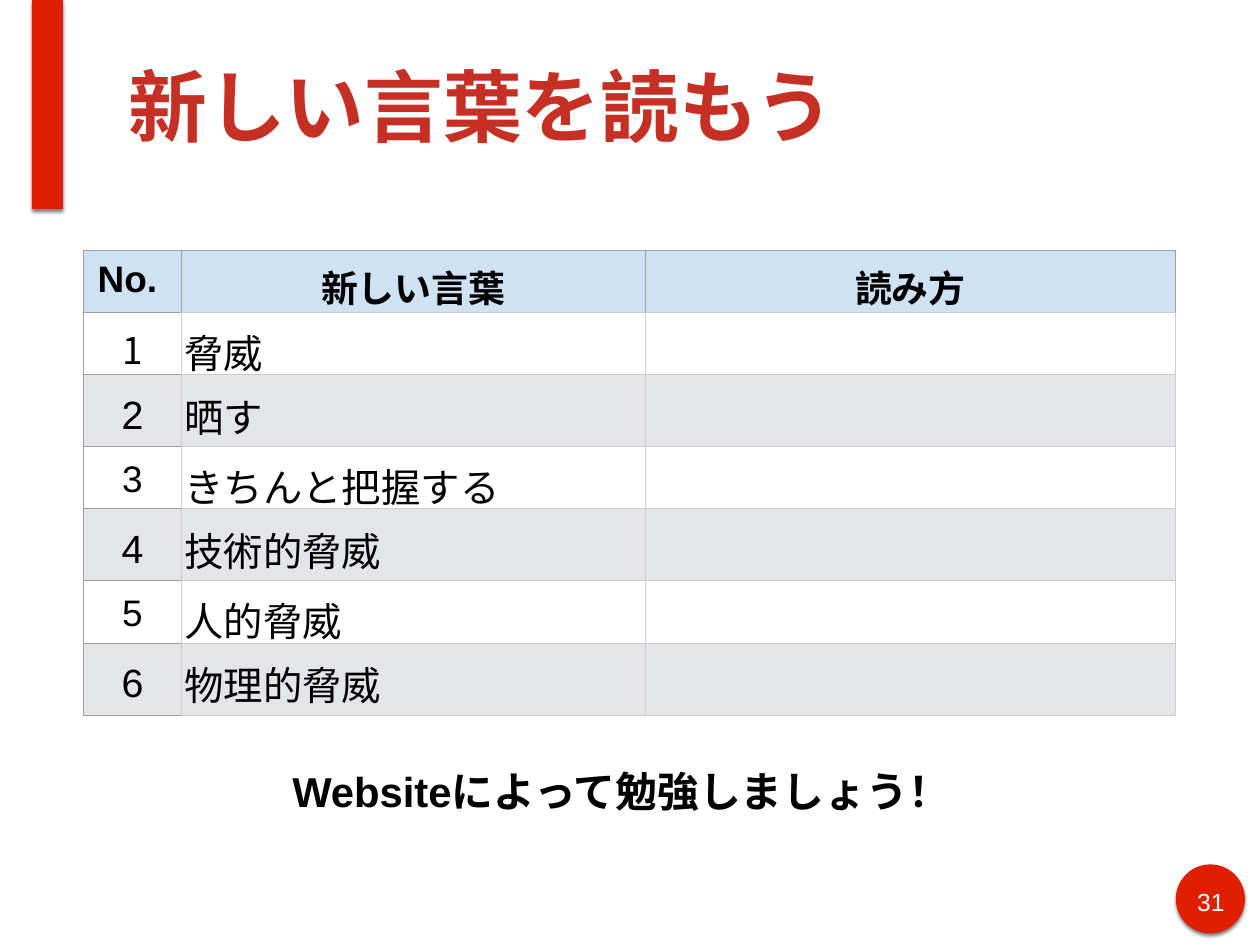
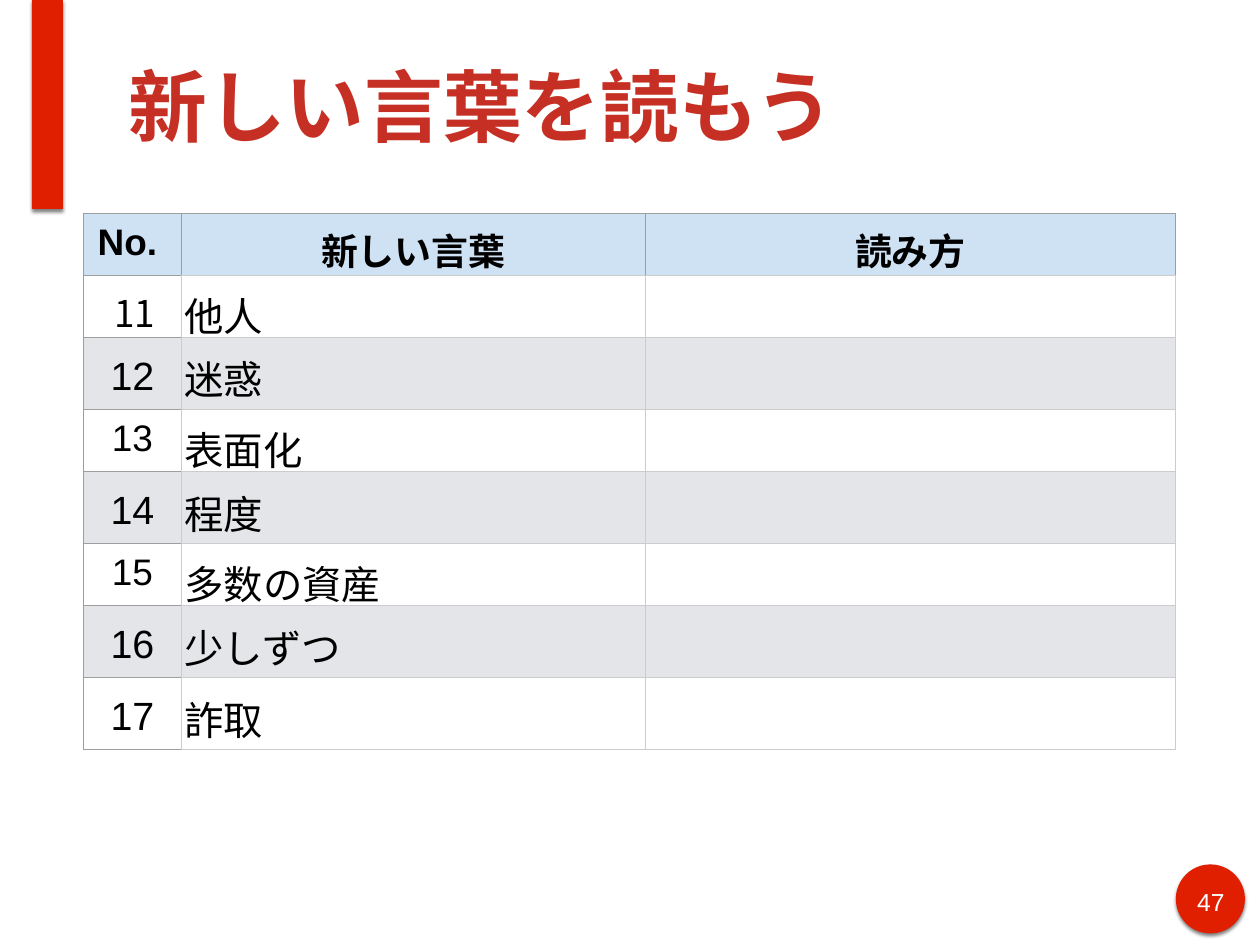
"""Two vocabulary slides with a red band, a page badge and a word table."""
from pptx import Presentation
from pptx import util as u
from pptx.dml.color import RGBColor
from pptx.enum import shapes, text
from pptx.oxml import parse_xml
from pptx.oxml import ns

COLORS = {"red": "DF1F00", "title": "C63024", "black": "000000", "white": "FFFFFF",
          "header": "CFE2F3", "stripe": "E3E5E8", "dark": "9E9E9E", "light": "CCCCCC"}
LATIN, JAPANESE = "Arial", "Noto Sans CJK JP"
TITLE = "新しい言葉を読もう"
HEADINGS = ("No. ", "新しい言葉", "読み方")
COLUMN_WIDTHS = (1.11, 5.23, 5.99)
ROW_HEIGHT = 0.69
TOP, MIDDLE, BOTTOM = text.MSO_ANCHOR.TOP, text.MSO_ANCHOR.MIDDLE, text.MSO_ANCHOR.BOTTOM
LEFT, CENTER = text.PP_ALIGN.LEFT, text.PP_ALIGN.CENTER

LESSONS = [
    {"page": "31", "first_number": 1, "table_top": 2.83,
     "words": ["脅威", "晒す", "きちんと把握する", "技術的脅威", "人的脅威", "物理的脅威"],
     "anchors": {"plain": BOTTOM, "spaced": BOTTOM}, "first_indent": 0,
     "reminder": "Websiteによって勉強しましょう！"},
    {"page": "47", "first_number": 11, "table_top": 2.41,
     "words": ["他人", "迷惑", "表面化", "程度", "多数の資産", "少しずつ", "詐取"],
     "anchors": {"plain": TOP, "spaced": MIDDLE}, "first_indent": 0.25,
     "reminder": None},
]


def write(frame, words, size, color="black", bold=False, align=LEFT,
          spacing=None, font=LATIN, indent=0):
    paragraph = frame.paragraphs[0]
    paragraph.alignment = align
    if spacing:
        paragraph.line_spacing = spacing
    if indent:
        properties = paragraph._p.get_or_add_pPr()
        properties.set("marL", str(u.Inches(indent)))
        properties.set("indent", "0")
    run = paragraph.add_run()
    run.text = words
    for key, value in {"size": u.Pt(size), "bold": bold, "name": font}.items():
        setattr(run.font, key, value)
    run.font.color.rgb = RGBColor.from_string(COLORS[color])
    run._r.get_or_add_rPr().find(ns.qn("a:latin")).addnext(
        parse_xml(f'<a:ea {ns.nsdecls("a")} typeface="{JAPANESE}"/>'))


def set_margins(holder, across, down):
    for side, inset in {"left": across, "right": across, "top": down, "bottom": down}.items():
        setattr(holder, f"margin_{side}", u.Inches(inset))


def add_label(slide, box, words, size, inset, anchor=TOP, **style):
    frame = slide.shapes.add_textbox(*map(u.Inches, box)).text_frame
    frame.word_wrap = True
    frame.vertical_anchor = anchor
    set_margins(frame, inset, inset)
    write(frame, words, size, **style)
    return frame


def add_red_shape(slide, kind, box):
    shape = slide.shapes.add_shape(kind, *map(u.Inches, box))
    shape.fill.solid()
    shape.fill.fore_color.rgb = RGBColor.from_string(COLORS["red"])
    shape.line.fill.background()
    shape.shadow.inherit = False
    shape._element.spPr.find(ns.qn("a:effectLst")).append(parse_xml(
        f'<a:outerShdw {ns.nsdecls("a")} blurRad="{u.Pt(3)}" dist="{u.Pt(2)}" dir="5400000" '
        f'rotWithShape="0"><a:srgbClr val="{COLORS["black"]}"><a:alpha val="49000"/>'
        '</a:srgbClr></a:outerShdw>'))


def add_frame(slide, page):
    add_red_shape(slide, shapes.MSO_SHAPE.OVAL, (13.27, 9.76, 0.78, 0.78))
    add_red_shape(slide, shapes.MSO_SHAPE.RECTANGLE, (0.36, 0, 0.35, 2.36))
    add_label(slide, (13.42, 9.95, 0.49, 0.39), page, 20, 0.06, color="white", align=CENTER)
    add_label(slide, (1.39, 0.12, 12.14, 2.12), TITLE, 64, 0.06, MIDDLE,
              color="title", bold=True)


def style_cell(cell, fill, sides):
    properties = cell._tc.get_or_add_tcPr()
    for side, color in zip("LRTB", sides):
        properties.append(parse_xml(
            f'<a:ln{side} {ns.nsdecls("a")} w="{u.Pt(0.75)}"><a:solidFill>'
            f'<a:srgbClr val="{COLORS[color]}"/></a:solidFill></a:ln{side}>'))
    cell.fill.solid()
    cell.fill.fore_color.rgb = RGBColor.from_string(COLORS[fill])


def add_word_table(slide, lesson):
    words = lesson["words"]
    row_count = len(words) + 1
    table = slide.shapes.add_table(
        row_count, len(HEADINGS), u.Inches(0.94), u.Inches(lesson["table_top"]),
        u.Inches(sum(COLUMN_WIDTHS)), u.Inches(ROW_HEIGHT * row_count)).table
    table.first_row = table.horz_banding = False
    for column, width in zip(table.columns, COLUMN_WIDTHS):
        column.width = u.Inches(width)
    for row in table.rows:
        row.height = u.Inches(ROW_HEIGHT)

    for index, heading in enumerate(HEADINGS):
        cell = table.cell(0, index)
        style_cell(cell, "header", ("dark",) * 3 + ("light" if index else "dark",))
        set_margins(cell, 0.1, 0.1)
        write(cell.text_frame, heading, 30, bold=True, align=CENTER)

    for index, word in enumerate(words, 1):
        striped = index % 2 == 0
        spaced = striped or index == len(words)
        first = index == 1
        indent = lesson["first_indent"] if first else 0
        number, term, reading = table.rows[index].cells
        for cell in (number, term, reading):
            sides = ("dark", "light", "dark", "dark") if cell is number else ("light",) * 4
            style_cell(cell, "stripe" if striped else "white", sides)
        set_margins(number, 0.1, 0.1)
        number.vertical_anchor = lesson["anchors"]["spaced" if spaced else "plain"]
        write(number.text_frame, str(lesson["first_number"] + index - 1),
              32 if spaced else 30, align=LEFT if indent else CENTER,
              spacing=1.15 if spaced else None, font=JAPANESE if first else LATIN,
              indent=indent)
        set_margins(term, 0.03, 0.02)
        term.vertical_anchor = MIDDLE
        write(term.text_frame, word, 32, spacing=1.15)


def main():
    deck = Presentation()
    deck.slide_width, deck.slide_height = u.Inches(14.22), u.Inches(10.67)
    for lesson in LESSONS:
        slide = deck.slides.add_slide(deck.slide_layouts[6])
        add_frame(slide, lesson["page"])
        add_word_table(slide, lesson)
        if lesson["reminder"]:
            reminder = add_label(slide, (3.2, 8.55, 7.82, 0.77), lesson["reminder"],
                                 34, 0.1, bold=True)
            reminder.auto_size = text.MSO_AUTO_SIZE.SHAPE_TO_FIT_TEXT
    deck.save("out.pptx")


if __name__ == "__main__":
    main()
